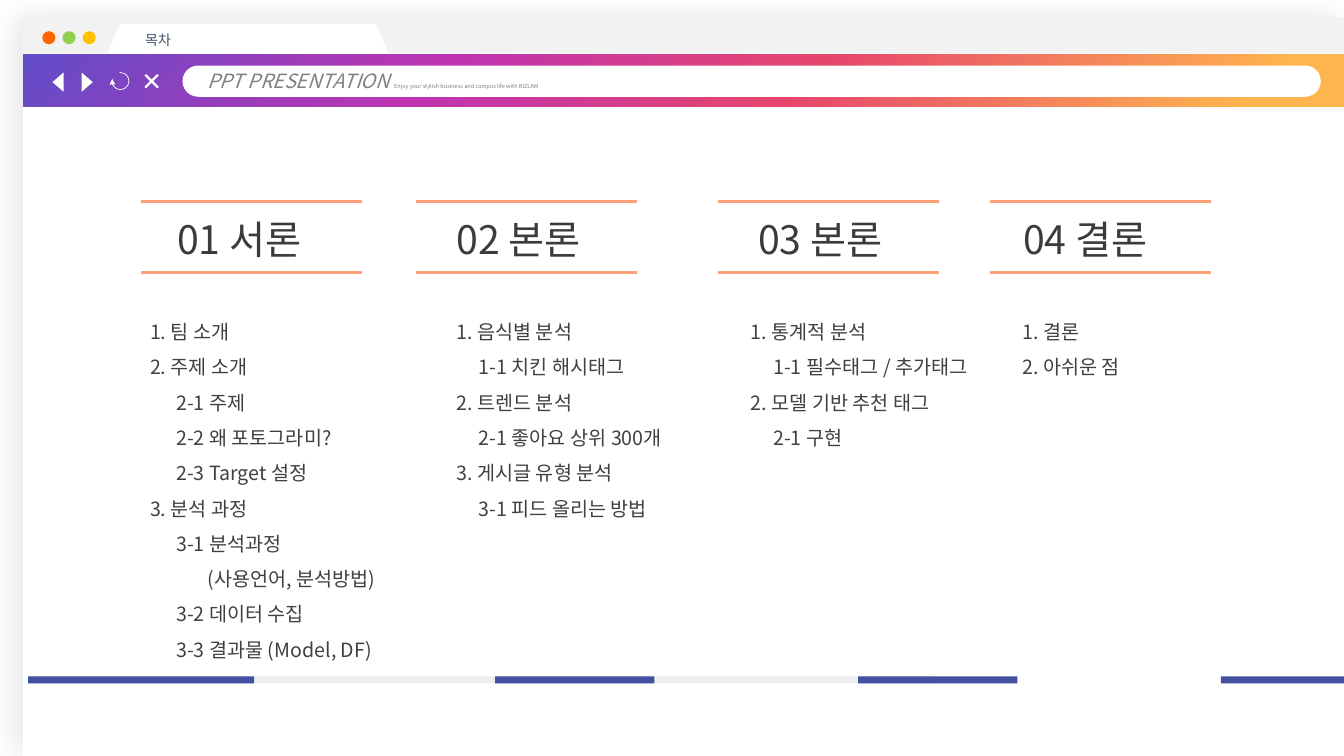
from lxml import etree
from pptx import Presentation, util as u
from pptx.dml.color import RGBColor
from pptx.enum import shapes, text
from pptx.oxml import parse_xml
from pptx.oxml.ns import nsdecls, qn

# The slide is a grid of 1333 columns by 750 rows
COLS, ROWS = 1333, 750
CELL = u.Inches(0.01)
FACE = "Noto Sans CJK KR"
KIND = shapes.MSO_SHAPE

WHITE = RGBColor(0xFF, 0xFF, 0xFF)
FRAME = RGBColor(0xF2, 0xF2, 0xF2)
TRACK = RGBColor(0xEE, 0xEE, 0xEE)
GREY = RGBColor(0x80, 0x80, 0x80)
SLATE = RGBColor(0x44, 0x54, 0x6A)
HEAD = RGBColor(0x3B, 0x3B, 0x3B)
BODY = RGBColor(0x40, 0x40, 0x40)
SALMON = RGBColor(0xFF, 0xA0, 0x7A)
BLUE = RGBColor(0x42, 0x50, 0xA0)
LIGHTS = [RGBColor(0xFF, 0x66, 0x00), RGBColor(0x92, 0xD0, 0x50),
          RGBColor(0xFF, 0xC0, 0x00)]
BLEND = [(0, "624CC8"), (32, "BF33B0"), (59, "E6466D"), (93, "FFB54E")]

# Each part: rule column, heading column, list column, indents, heading, items
PARTS = [
    (140, 166, 139, (0, 0.26, 0.57), "01 서론",
     [(0, "1. 팀 소개"), (0, "2. 주제 소개"), (1, "2-1 주제"),
      (1, "2-2 왜 포토그라미?"), (1, "2-3 Target 설정"), (0, "3. 분석 과정"),
      (1, "3-1 분석과정"), (2, "(사용언어, 분석방법)"),
      (1, "3-2 데이터 수집"), (1, "3-3 결과물 (Model, DF)")]),
    (413, 443, 443, (0, 0.22), "02 본론",
     [(0, "1. 음식별 분석"), (1, "1-1 치킨 해시태그"), (0, "2. 트렌드 분석"),
      (1, "2-1 좋아요 상위 300개"), (0, "3. 게시글 유형 분석"),
      (1, "3-1 피드 올리는 방법")]),
    (712, 742, 735, (0, 0.22), "03 본론",
     [(0, "1. 통계적 분석"), (1, "1-1 필수태그 / 추가태그"),
      (0, "2. 모델 기반 추천 태그"), (1, "2-1 구현")]),
    (982, 1005, 1004, (0,), "04 결론", [(0, "1. 결론"), (0, "2. 아쉬운 점")]),
]


def grid(*cells):
    return [round(c * CELL) for c in cells]


def apply(obj, **form):
    for key, val in form.items():
        setattr(obj, key, val)


def shape(slide, kind, box, fill=None, adj=(), turn=0):
    item = slide.shapes.add_shape(kind, *grid(*box))
    item.shadow.inherit = False
    item.rotation = turn
    item.line.fill.background()
    if fill is None:
        item.fill.background()
    else:
        item.fill.solid()
        item.fill.fore_color.rgb = fill
    for i, val in enumerate(adj):
        item.adjustments[i] = val
    return item


def edge(item, tone, width):
    item.line.color.rgb = tone
    item.line.width = u.Pt(width)


def rule(slide, col, row, wide):
    x, y, end = grid(col, row, col + wide)
    line = slide.shapes.add_connector(shapes.MSO_CONNECTOR.STRAIGHT, x, y, end, y)
    edge(line, SALMON, 2)
    etree.SubElement(line._element.spPr, qn("a:effectLst"))


def write(para, words, size, tone, italic=False):
    run = para.add_run()
    run.text = words
    apply(run.font, name=FACE, size=u.Pt(size), italic=italic)
    run.font.color.rgb = tone
    etree.SubElement(run._r.get_or_add_rPr(), qn("a:ea")).set("typeface", FACE)


def frame(item, **form):
    apply(item.text_frame, word_wrap=True, **form)
    para = item.text_frame.paragraphs[0]
    para.alignment = text.PP_ALIGN.LEFT
    return para


def label(slide, box):
    item = slide.shapes.add_textbox(*grid(*box))
    return item, frame(item)


def window(slide):
    # Page with a soft shadow on its left
    for kind, top, tone in ((KIND.ROUND_1_RECTANGLE, 17, FRAME),
                            (KIND.RECTANGLE, 53, WHITE)):
        page = shape(slide, kind, (23, top, COLS - 23, ROWS - top), tone)
        if kind == KIND.ROUND_1_RECTANGLE:
            page.adjustments[0] = 0.01
            page._element.spPr.find(qn("a:xfrm")).set("flipH", "1")
            cast = page._element.spPr.find(qn("a:effectLst"))
            cast.append(parse_xml(
                f'<a:outerShdw {nsdecls("a")} blurRad="{u.Pt(22)}" '
                f'dist="{u.Pt(5)}" dir="10800000" algn="r" rotWithShape="0">'
                '<a:srgbClr val="000000"><a:alpha val="10000"/></a:srgbClr>'
                '</a:outerShdw>'))
    for i, tone in enumerate(LIGHTS):
        shape(slide, KIND.OVAL, (42 + 20 * i, 31, 13, 13), tone)

    # Tab with the slide title
    tab = (106, 24, 280, 31)
    shape(slide, KIND.TRAPEZOID, tab, WHITE, [0.41])
    title = slide.shapes.title
    apply(title, **dict(zip(("left", "top", "width", "height"), grid(*tab))))
    para = frame(title, auto_size=text.MSO_AUTO_SIZE.NONE, margin_left=CELL * 38,
                 margin_top=0, margin_bottom=0,
                 vertical_anchor=text.MSO_ANCHOR.MIDDLE)
    write(para, "목차", 10, SLATE)
    slide.shapes._spTree.append(title._element)


def toolbar(slide):
    # Gradient band
    band = shape(slide, KIND.RECTANGLE, (23, 54, COLS - 23, 52), WHITE)
    stops = "".join(f'<a:gs pos="{p * 1000}"><a:srgbClr val="{c}"/></a:gs>'
                    for p, c in BLEND)
    old = band._element.spPr.find(qn("a:solidFill"))
    old.getparent().replace(old, parse_xml(
        f'<a:gradFill {nsdecls("a")} rotWithShape="1"><a:gsLst>{stops}</a:gsLst>'
        '<a:lin ang="2700000" scaled="0"/></a:gradFill>'))

    # Address field
    field = shape(slide, KIND.ROUNDED_RECTANGLE, (181, 65, 1129, 31), WHITE, [0.5])
    para = frame(field, margin_left=CELL * 20, margin_top=0, margin_bottom=0,
                 vertical_anchor=text.MSO_ANCHOR.MIDDLE)
    write(para, "PPT PRESENTATION ", 14, GREY, True)
    write(para, "Enjoy your stylish business and campus life with BIZLAM", 4, GREY)

    # Back, forward, reload and stop
    for col, turn in ((48, 270), (77, 90)):
        shape(slide, KIND.ISOSCELES_TRIANGLE, (col, 76, 19, 11), WHITE, turn=turn)
    # Arc angles are in units of 100000/60000 degree
    loop = shape(slide, KIND.ARC, (111, 72, 17, 17), adj=[265 * 0.6, 195 * 0.6])
    edge(loop, WHITE, 0.5)
    tip = etree.SubElement(loop.line._get_or_add_ln(), qn("a:tailEnd"))
    for key, val in (("type", "triangle"), ("w", "sm"), ("len", "sm")):
        tip.set(key, val)
    stop = shape(slide, KIND.MATH_PLUS, (139, 69, 23, 23), GREY, [0.04], 315)
    edge(stop, WHITE, 1)


def part(slide, line, head, col, steps, name, items):
    for row in (200, 270):
        rule(slide, line, row, 219)
    write(label(slide, (head, 209, 200, 57))[1], name, 28, HEAD)
    wide = 394 if len(steps) > 2 else 269
    box, para = label(slide, (col, 301, wide, 6 + 35.4 * len(items)))
    for i, (level, words) in enumerate(items):
        para = box.text_frame.add_paragraph() if i else para
        para.line_spacing = 1.5
        para._p.get_or_add_pPr().set("marL", str(u.Inches(steps[level])))
        write(para, words, 14, BODY)


def footer(slide):
    bars = [(29, 896, TRACK), (28, 224, BLUE)]
    bars += [(491 + 360 * i, 158, BLUE) for i in range(3)]
    for col, wide, tone in bars:
        shape(slide, KIND.RECTANGLE, (col, 671, min(wide, COLS - col), 7), tone)


def main():
    deck = Presentation()
    apply(deck, slide_width=CELL * COLS, slide_height=CELL * ROWS)
    slide = deck.slides.add_slide(deck.slide_layouts[5])
    window(slide)
    toolbar(slide)
    for row in PARTS:
        part(slide, *row)
    footer(slide)
    deck.save("out.pptx")


if __name__ == "__main__":
    main()
